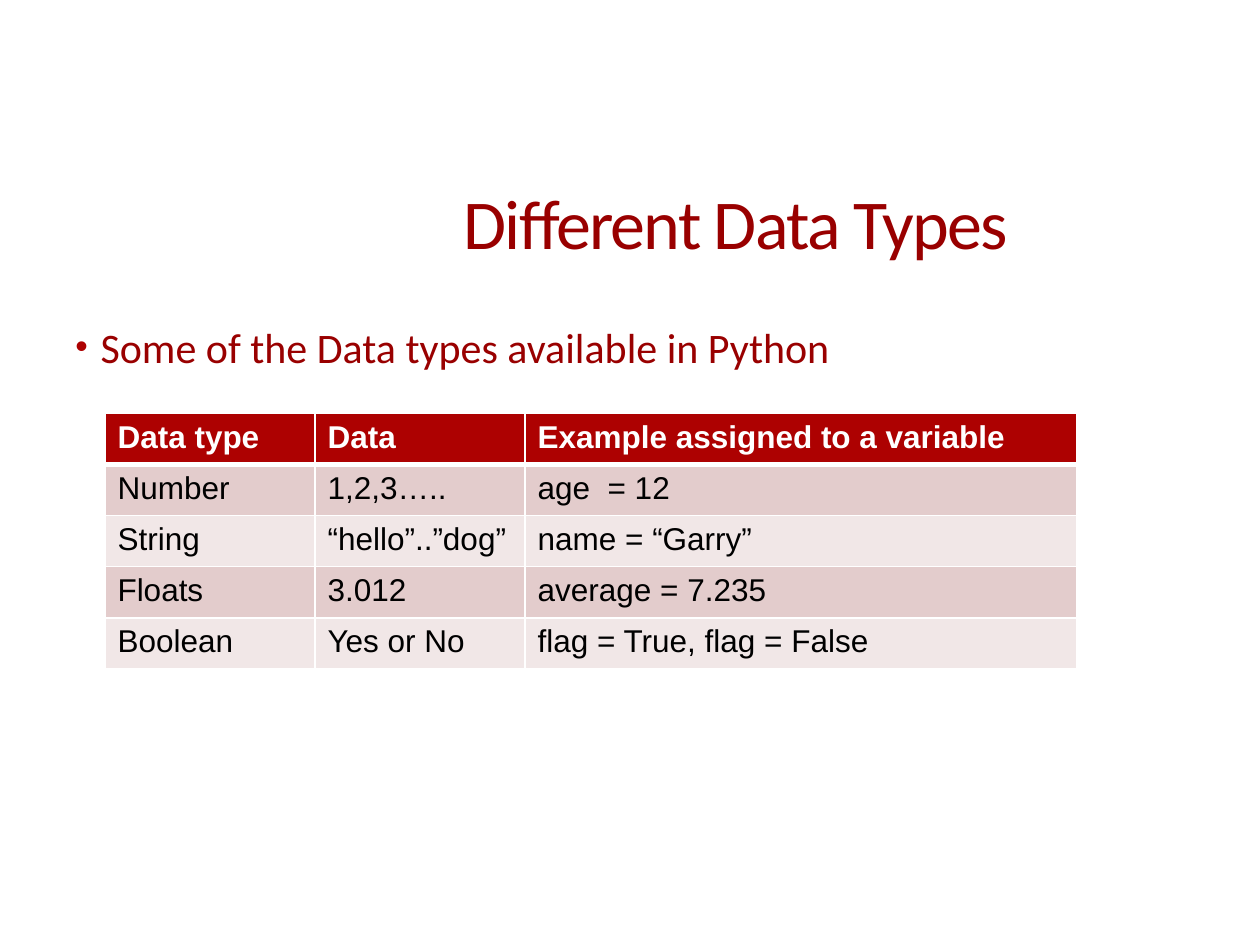
from lxml.etree import SubElement
from pptx import Presentation
from pptx.dml.color import RGBColor
from pptx.enum.text import MSO_ANCHOR as Anchor, PP_ALIGN as Align
from pptx.oxml.ns import qn
from pptx.util import Inches, Pt

RED = RGBColor(0x99, 0x00, 0x00)
ACCENT = RGBColor(0xAD, 0x01, 0x01)
BAND_DARK = RGBColor(0xE3, 0xCC, 0xCC)
BAND_LIGHT = RGBColor(0xF1, 0xE7, 0xE7)
WHITE = RGBColor(0xFF, 0xFF, 0xFF)
BLACK = RGBColor(0x00, 0x00, 0x00)

# The slide is a grid of 100 columns by 75 rows
COLUMNS, ROWS = 100, 75
UNIT = Inches(10) // COLUMNS


def write(frame, text, font="Calibri", size=24, color=RED, bold=False,
          spacing=None, anchor=Anchor.TOP):
    """Put one formatted paragraph in a text frame and return it."""
    frame.word_wrap = True
    frame.vertical_anchor = anchor
    paragraph = frame.paragraphs[0]
    paragraph.alignment = Align.LEFT
    run = paragraph.add_run()
    run.text = text
    run.font.name, run.font.size, run.font.bold = font, Pt(size), bold
    run.font.color.rgb = color
    if spacing is not None:
        run.font._element.set("spc", str(int(spacing * 100)))
    return paragraph


class SlideBuilder:
    def __init__(self, deck):
        self.slide = deck.slides.add_slide(deck.slide_layouts[5])

    @staticmethod
    def grid(*cells):
        return [int(cell * UNIT) for cell in cells]

    def title(self, text, *box):
        heading = self.slide.shapes.title
        heading.left, heading.top, heading.width, heading.height = self.grid(*box)
        write(heading.text_frame, text, size=40, spacing=-1, anchor=Anchor.MIDDLE)

    def bullet(self, text, *box):
        body = self.slide.shapes.add_textbox(*self.grid(*box))
        props = write(body.text_frame, text)._p.get_or_add_pPr()
        indent = Inches(0.2)
        props.set("marL", str(indent))
        props.set("indent", str(-indent))
        # Space before, then bullet colour, size, font and sign
        before = SubElement(props, qn("a:spcBef"))
        SubElement(before, qn("a:spcPct"), val="20000")
        tint = SubElement(props, qn("a:buClr"))
        SubElement(tint, qn("a:srgbClr"), val=str(ACCENT))
        SubElement(props, qn("a:buSzPct"), val="85000")
        SubElement(props, qn("a:buFont"), typeface="Arial")
        SubElement(props, qn("a:buChar"), char="•")

    def table(self, records, left, top, widths, row_height):
        box = self.grid(left, top, sum(widths), row_height * len(records))
        table = self.slide.shapes.add_table(len(records), len(widths), *box).table
        for column, width in zip(table.columns, self.grid(*widths)):
            column.width = width
        for r, record in enumerate(records):
            header = r == 0
            fill = ACCENT if header else (BAND_LIGHT, BAND_DARK)[r % 2]
            for c, text in enumerate(record):
                cell = table.cell(r, c)
                write(cell.text_frame, text, font="Arial", size=18, bold=header,
                      color=WHITE if header else BLACK)
                self.borders(cell, top=3 if r == 1 else 1, bottom=3 if header else 1)
                cell.fill.solid()
                cell.fill.fore_color.rgb = fill

    @staticmethod
    def borders(cell, top, bottom):
        props = cell._tc.get_or_add_tcPr()
        for side, width in (("L", 1), ("R", 1), ("T", top), ("B", bottom)):
            line = SubElement(props, qn(f"a:ln{side}"), w=str(Pt(width)))
            paint = SubElement(line, qn("a:solidFill"))
            SubElement(paint, qn("a:srgbClr"), val=str(WHITE))


deck = Presentation()
deck.slide_width, deck.slide_height = COLUMNS * UNIT, ROWS * UNIT
page = SlideBuilder(deck)

# Heading and lead-in
page.title("Different Data Types", 35.8, 12.6, 60, 10)
page.bullet("Some of the Data types available in Python", 5, 25, 90, 45.8)

# Data types with examples
DATA_TYPES = [
    ("Data type", "Data", "Example assigned to a variable"),
    ("Number", "1,2,3…..", "age  = 12"),
    ("String", "“hello”..”dog”", "name = “Garry”"),
    ("Floats", "3.012", "average = 7.235"),
    ("Boolean", "Yes or No", "flag = True, flag = False"),
]
page.table(DATA_TYPES, 8.33, 32.8, widths=(16.67, 16.67, 43.8), row_height=4.06)

deck.save("out.pptx")
